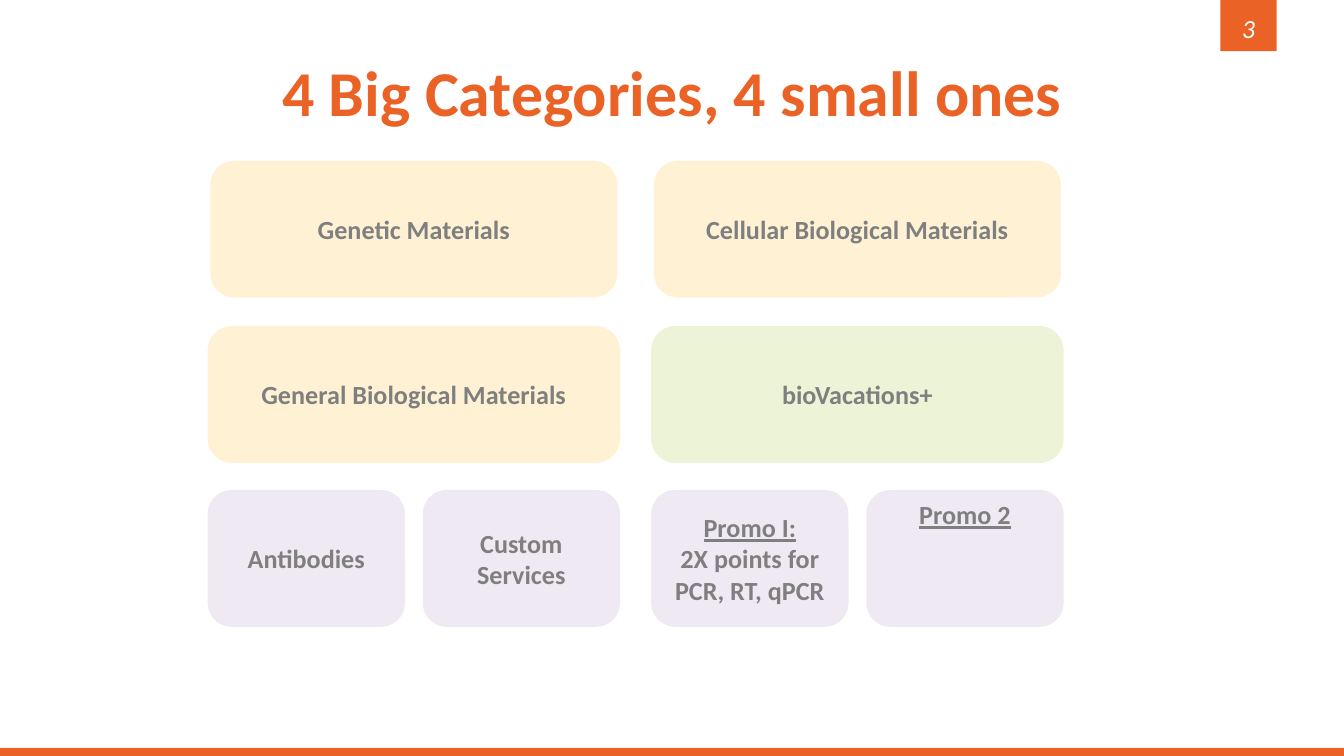
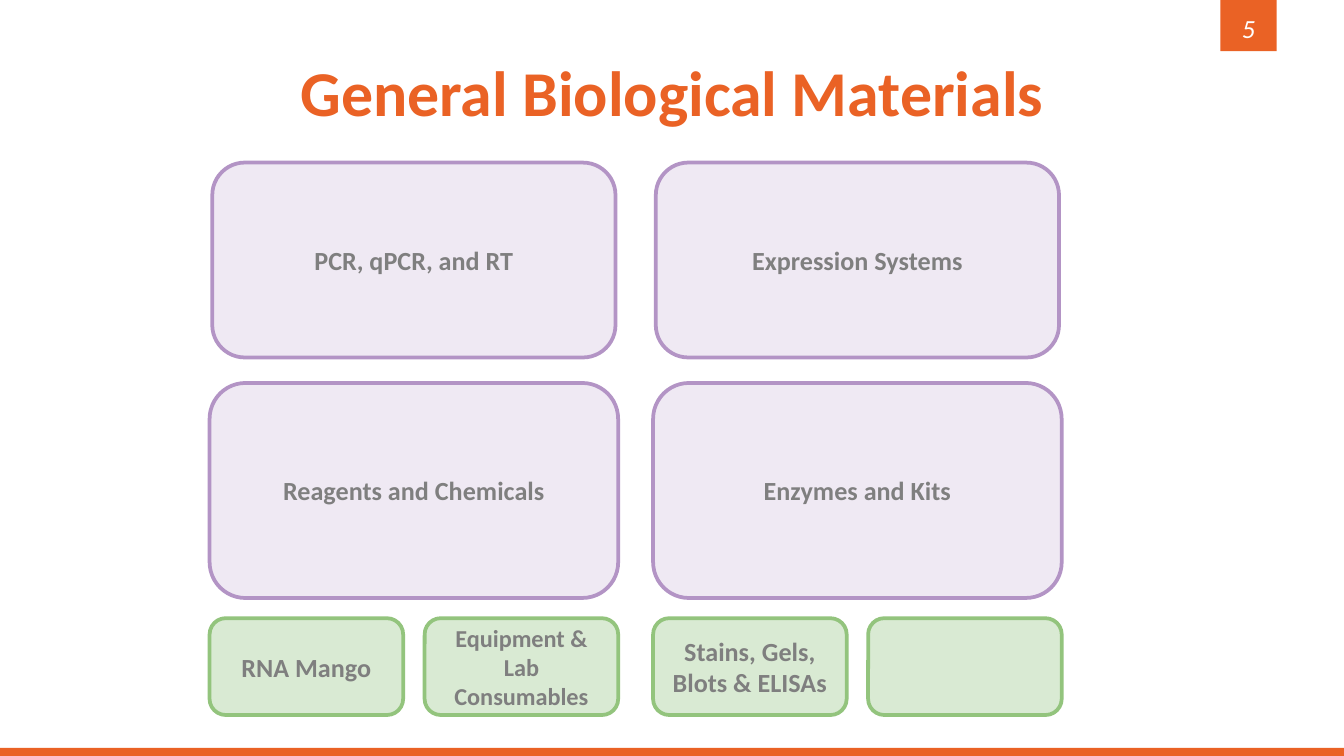
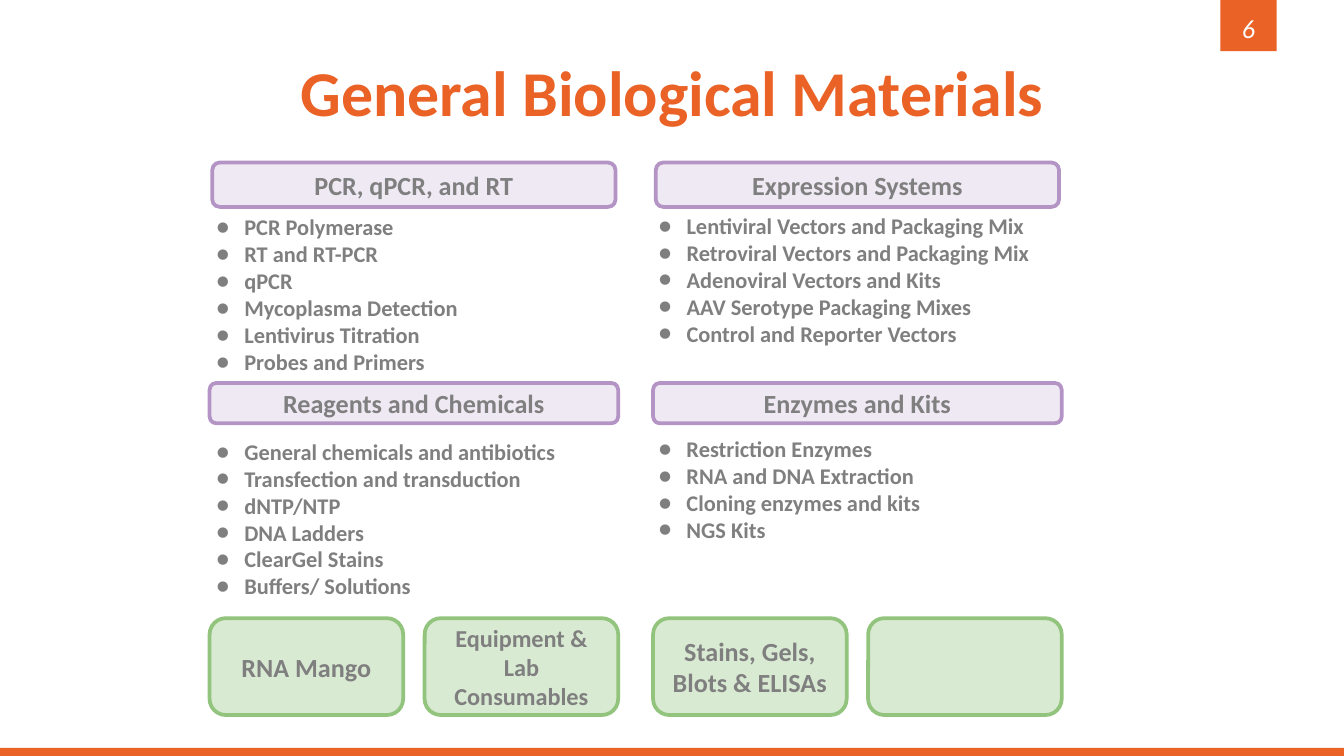
from dataclasses import dataclass

import pptx
import pptx.dml.color
import pptx.enum.shapes
import pptx.enum.text
import pptx.oxml.ns
import pptx.util
from lxml import etree
from pptx.util import Inches

COLORS = {
    "orange": "EA6225", "white": "FFFFFF", "gray": "7F7F7F",
    "cream": "FFF2D4", "lime": "EDF3D6", "lilac": "EFE9F3",
    "purple": "B394C5", "mint": "D9EAD3", "green": "93C47D",
}
FONT = "Calibri"
SHAPE = pptx.enum.shapes.MSO_SHAPE
ANCHOR = pptx.enum.text.MSO_ANCHOR
ALIGN = pptx.enum.text.PP_ALIGN

# Widescreen page
PAGE_WIDTH = 10
PAGE_HEIGHT = PAGE_WIDTH * 9 / 16
BAND = 0.06

# Grid: two columns, each of which splits into two small cards
COLUMNS = (1.56, 4.86)
WIDE, SMALL, SMALL_STEP = 3.04, 1.44, 1.6
TOP_ROW, TOP_INSET = 1.21, 0.02


@dataclass
class Card:
    text: str
    fill: str
    line: str
    size: float = 14
    underline: bool = False  # applies to the first run
    at_top: bool = False


@dataclass
class BulletList:
    left: float
    top: float
    width: float
    items: list[str]


def rgb(name: str) -> pptx.dml.color.RGBColor:
    return pptx.dml.color.RGBColor.from_string(COLORS[name])


def style(tf, size: float, color: str, align=ALIGN.CENTER, bold=False, italic=False) -> None:
    for p in tf.paragraphs:
        p.alignment = align
        for r in p.runs:
            r.font.name, r.font.size = FONT, pptx.util.Pt(size)
            r.font.bold, r.font.italic = bold, italic
            r.font.color.rgb = rgb(color)


def add_box(s, kind, left: float, top: float, width: float, height: float, fill: str):
    sp = s.shapes.add_shape(kind, Inches(left), Inches(top), Inches(width), Inches(height))
    sp.shadow.inherit = False
    sp.fill.solid()
    sp.fill.fore_color.rgb = rgb(fill)
    sp.line.fill.background()
    return sp


def add_text(s, left: float, top: float, width: float, height: float, text: str):
    tf = s.shapes.add_textbox(Inches(left), Inches(top), Inches(width), Inches(height)).text_frame
    tf.word_wrap = True
    tf.text = text
    return tf


def add_slide(prs, title: str, number: int):
    s = prs.slides.add_slide(prs.slide_layouts[5])
    # Bottom band and page tag
    add_box(s, SHAPE.RECTANGLE, 0, PAGE_HEIGHT - BAND, PAGE_WIDTH, BAND, "orange")
    add_box(s, SHAPE.RECTANGLE, 9.08, 0, 0.42, 0.38, "orange")
    tf = add_text(s, 9.08, 0.06, 0.42, 0.3, str(number))
    tf.vertical_anchor = ANCHOR.MIDDLE
    style(tf, 14, "white", italic=True)
    # Title
    sp = s.shapes.title
    sp.left, sp.top, sp.width, sp.height = Inches(0.5), Inches(0.38), Inches(9), Inches(0.6)
    tf = sp.text_frame
    tf.text = title
    tf.auto_size = pptx.enum.text.MSO_AUTO_SIZE.NONE
    tf.vertical_anchor = ANCHOR.MIDDLE
    style(tf, 34.2, "orange", bold=True)
    return s


def add_card(s, card: Card, left: float, top: float, width: float, height: float) -> None:
    sp = add_box(s, SHAPE.ROUNDED_RECTANGLE, left, top, width, height, card.fill)
    sp.line.color.rgb = rgb(card.line)
    sp.line.width = pptx.util.Pt(2)
    if not card.text:
        return
    tf = sp.text_frame
    tf.word_wrap = True
    tf.text = card.text
    tf.vertical_anchor = ANCHOR.TOP if card.at_top else ANCHOR.MIDDLE
    if card.at_top:
        tf.margin_top = 0
    style(tf, card.size, "gray", bold=True)
    tf.paragraphs[0].runs[0].font.underline = card.underline


def add_wide_row(s, cards: list[Card], top: float, height: float, inset: float = 0) -> None:
    for left, card in zip(COLUMNS, cards):
        add_card(s, card, left + inset, top, WIDE - 2 * inset, height)


def add_small_row(s, cards: list[Card], top: float, height: float) -> None:
    for i, card in enumerate(cards):
        add_card(s, card, COLUMNS[i // 2] + i % 2 * SMALL_STEP, top, SMALL, height)


def add_bullets(s, bullets: BulletList) -> None:
    tf = add_text(s, bullets.left, bullets.top, bullets.width, 1.18, "\n".join(bullets.items))
    style(tf, 12, "gray", align=ALIGN.LEFT, bold=True)
    qn = pptx.oxml.ns.qn
    for p in tf.paragraphs:
        pPr = p._p.get_or_add_pPr()
        pPr.set("marL", str(Inches(0.25)))
        pPr.set("indent", str(Inches(-0.21)))
        color = etree.SubElement(pPr, qn("a:buClr"))
        etree.SubElement(color, qn("a:srgbClr"), val=COLORS["gray"])
        etree.SubElement(pPr, qn("a:buFont"), typeface=FONT)
        etree.SubElement(pPr, qn("a:buChar"), char="●")


def add_materials_slide(prs, number: int, top_height: float, middle_height: float):
    s = add_slide(prs, "General Biological Materials", number)
    add_wide_row(s, MATERIALS[:2], TOP_ROW, top_height, TOP_INSET)
    add_wide_row(s, MATERIALS[2:], 2.85, middle_height)
    add_small_row(s, EXTRAS, 4.6, 0.72)
    return s


# Content
MATERIALS = [Card(text, "lilac", "purple") for text in (
    "PCR, qPCR, and RT", "Expression Systems", "Reagents and Chemicals", "Enzymes and Kits")]
EXTRAS = [Card(text, "mint", "green", size) for text, size in (
    ("RNA Mango", 14), ("Equipment & Lab Consumables", 13),
    ("Stains, Gels, Blots & ELISAs", 14), ("", 14))]
BULLETS = [
    BulletList(1.47, 1.54, 3.23, [
        "PCR Polymerase", "RT and RT-PCR", "qPCR", "Mycoplasma Detection",
        "Lentivirus Titration", "Probes and Primers"]),
    BulletList(4.76, 1.53, 3.95, [
        "Lentiviral Vectors and Packaging Mix", "Retroviral Vectors and Packaging Mix",
        "Adenoviral Vectors and Kits", "AAV Serotype Packaging Mixes",
        "Control and Reporter Vectors"]),
    BulletList(1.47, 3.21, 3.23, [
        "General chemicals and antibiotics", "Transfection and transduction", "dNTP/NTP",
        "DNA Ladders", "ClearGel Stains", "Buffers/ Solutions"]),
    BulletList(4.76, 3.19, 3.23, [
        "Restriction Enzymes", "RNA and DNA Extraction", "Cloning enzymes and kits",
        "NGS Kits"]),
]

prs = pptx.Presentation()
prs.slide_width, prs.slide_height = Inches(PAGE_WIDTH), Inches(PAGE_HEIGHT)

# Slide 1: category overview
s = add_slide(prs, "4 Big Categories, 4 small ones", 3)
add_wide_row(s, [Card("Genetic Materials", "cream", "cream"),
                 Card("Cellular Biological Materials", "cream", "cream")],
             TOP_ROW, 0.99, TOP_INSET)
add_wide_row(s, [Card("General Biological Materials", "cream", "cream"),
                 Card("bioVacations+", "lime", "lime")], 2.44, 0.99)
add_small_row(s, [
    Card("Antibodies", "lilac", "lilac"),
    Card("Custom Services", "lilac", "lilac"),
    Card("Promo I:\v2X points for PCR, RT, qPCR", "lilac", "lilac", underline=True),
    Card("Promo 2", "lilac", "lilac", underline=True, at_top=True),
], 3.66, 0.99)

# Slide 2: general materials as large cards
add_materials_slide(prs, 5, 1.45, 1.6)

# Slide 3: general materials as headings with lists
s = add_materials_slide(prs, 6, 0.33, 0.3)
for bullets in BULLETS:
    add_bullets(s, bullets)

prs.save("out.pptx")
